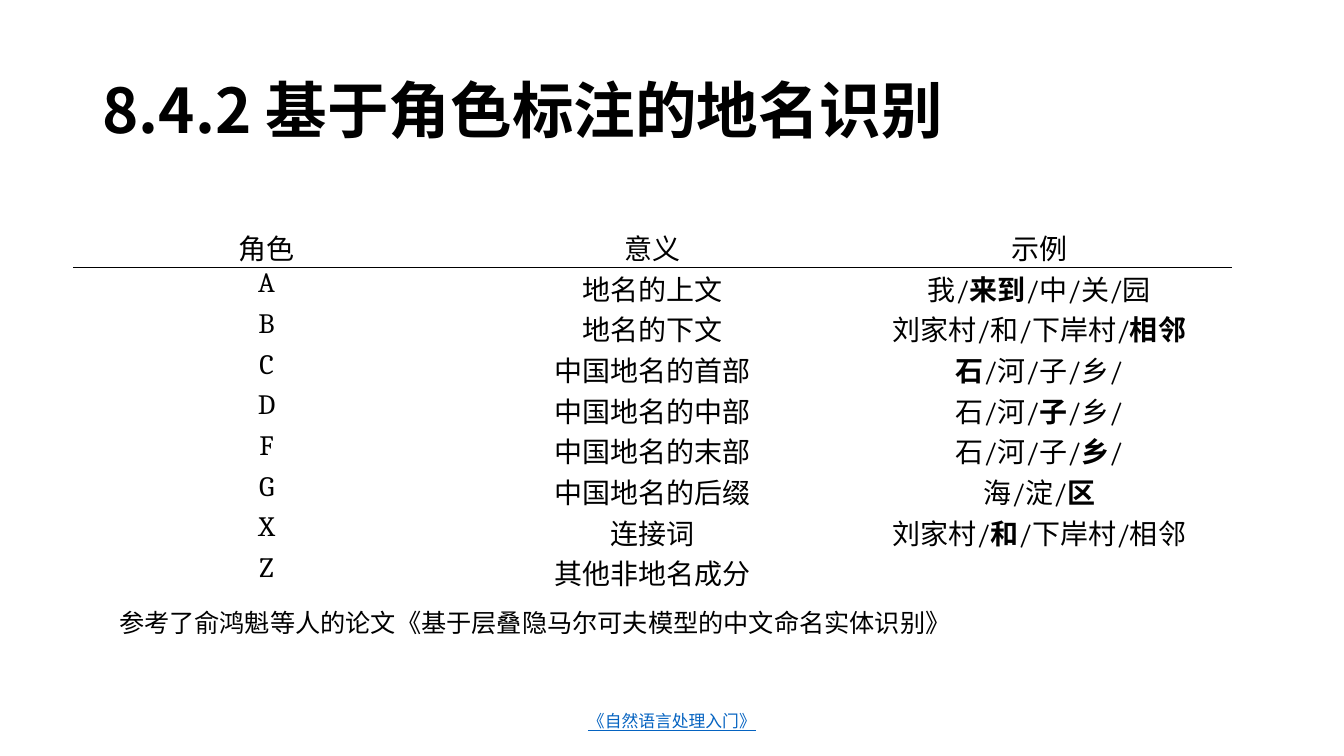
from lxml.etree import SubElement
from pptx import Presentation
from pptx.dml.color import RGBColor
from pptx.enum.text import MSO_ANCHOR, PP_ALIGN
from pptx.oxml import parse_xml
from pptx.oxml.ns import nsdecls, qn
from pptx.util import Cm, Pt

BLACK = RGBColor(0x00, 0x00, 0x00)
LINK_BLUE = RGBColor(0x05, 0x63, 0xC1)
SANS = "Noto Sans CJK SC"
SERIF = "Cambria"
NO_STYLE = "{2D5ABB26-0587-4C30-8999-92F81FD0307C}"

HEADINGS = ("角色", "意义", "示例")
ROLES = [
    ("A", "地名的上文", "我/来到/中/关/园", 1),
    ("B", "地名的下文", "刘家村/和/下岸村/相邻", 3),
    ("C", "中国地名的首部", "石/河/子/乡/", 0),
    ("D", "中国地名的中部", "石/河/子/乡/", 2),
    ("F", "中国地名的末部", "石/河/子/乡/", 3),
    ("G", "中国地名的后缀", "海/淀/区", 2),
    ("X", "连接词", "刘家村/和/下岸村/相邻", 1),
    ("Z", "其他非地名成分", "", None),
]


def add_text(paragraph, text, size=20, font=SANS, color=BLACK,
             bold=False, underline=False, align=PP_ALIGN.CENTER):
    paragraph.alignment = align
    run = paragraph.add_run()
    run.text = text
    run.font.size = Pt(size)
    run.font.bold = bold
    run.font.underline = underline
    run.font.color.rgb = color
    run.font.name = font
    SubElement(run.font._element, qn("a:ea"), typeface=SANS)


def place(shape, left, top, width, height):
    shape.left, shape.top = Cm(left), Cm(top)
    shape.width, shape.height = Cm(width), Cm(height)


def add_title(slide, text):
    title = slide.shapes.title
    place(title, 2.33, 1.02, 29.21, 3.68)
    title.text_frame.vertical_anchor = MSO_ANCHOR.MIDDLE
    paragraph = title.text_frame.paragraphs[0]
    paragraph.line_spacing = 0.9
    add_text(paragraph, text, size=44, bold=True, align=PP_ALIGN.LEFT)


def add_label(slide, text, left, top, width, height,
              anchor=MSO_ANCHOR.TOP, **text_format):
    frame = slide.shapes.add_textbox(
        Cm(left), Cm(top), Cm(width), Cm(height)).text_frame
    frame.word_wrap = True
    frame.vertical_anchor = anchor
    add_text(frame.paragraphs[0], text, **text_format)


def add_example(paragraph, example, marked):
    for index, word in enumerate(example.split("/")):
        if index:
            add_text(paragraph, "/", font=SERIF)
        if word:
            add_text(paragraph, word, bold=index == marked)


def rule_below(cell):
    cell._tc.get_or_add_tcPr().insert(0, parse_xml(
        f'<a:lnB {nsdecls("a")} w="12700"><a:solidFill>'
        f'<a:srgbClr val="{BLACK}"/></a:solidFill></a:lnB>'))


def add_role_table(slide):
    row_count = len(ROLES) + 1
    row_height = Cm(1.02)
    table = slide.shapes.add_table(
        row_count, len(HEADINGS), Cm(1.85), Cm(5.72),
        Cm(29.21), row_height * row_count).table
    table.first_row = table.horz_banding = False
    table._tbl.tblPr.find(qn("a:tableStyleId")).text = NO_STYLE

    for row in table.rows:
        row.height = row_height
    for cell in table.iter_cells():
        cell.fill.background()
        cell.margin_left = cell.margin_right = Cm(0.18)
        cell.margin_top = cell.margin_bottom = 0

    for column, heading in enumerate(HEADINGS):
        cell = table.cell(0, column)
        cell.vertical_anchor = MSO_ANCHOR.BOTTOM
        add_text(cell.text_frame.paragraphs[0], heading)
        rule_below(cell)

    for row, (role, meaning, example, marked) in enumerate(ROLES, start=1):
        role_text, meaning_text, example_text = (
            cell.text_frame.paragraphs[0] for cell in table.rows[row].cells)
        add_text(role_text, role, font=SERIF)
        add_text(meaning_text, meaning)
        add_example(example_text, example, marked)


def main():
    presentation = Presentation()
    presentation.slide_width = Cm(33.87)
    presentation.slide_height = Cm(19.05)
    slide = presentation.slides.add_slide(presentation.slide_layouts[5])

    add_title(slide, "8.4.2 基于角色标注的地名识别")
    add_role_table(slide)
    add_label(slide, "《自然语言处理入门》", 11.22, 17.66, 11.43, 1.01,
              anchor=MSO_ANCHOR.MIDDLE, size=12, color=LINK_BLUE, underline=True)
    add_label(slide, "参考了俞鸿魁等人的论文《基于层叠隐马尔可夫模型的中文命名实体识别》",
              2.75, 15.18, 25.22, 1.03, size=18, font=SERIF, align=PP_ALIGN.LEFT)

    presentation.save("out.pptx")


if __name__ == "__main__":
    main()
